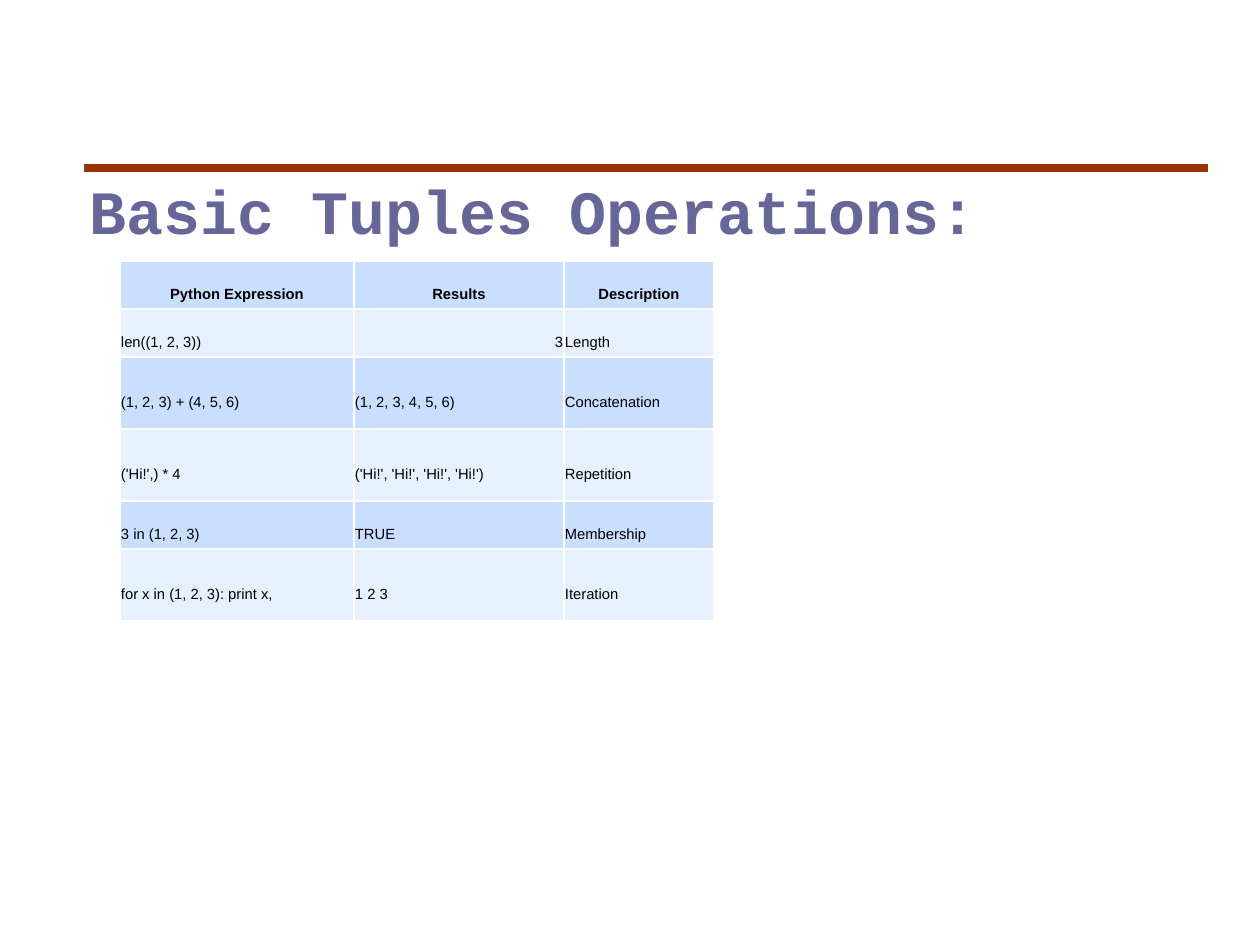
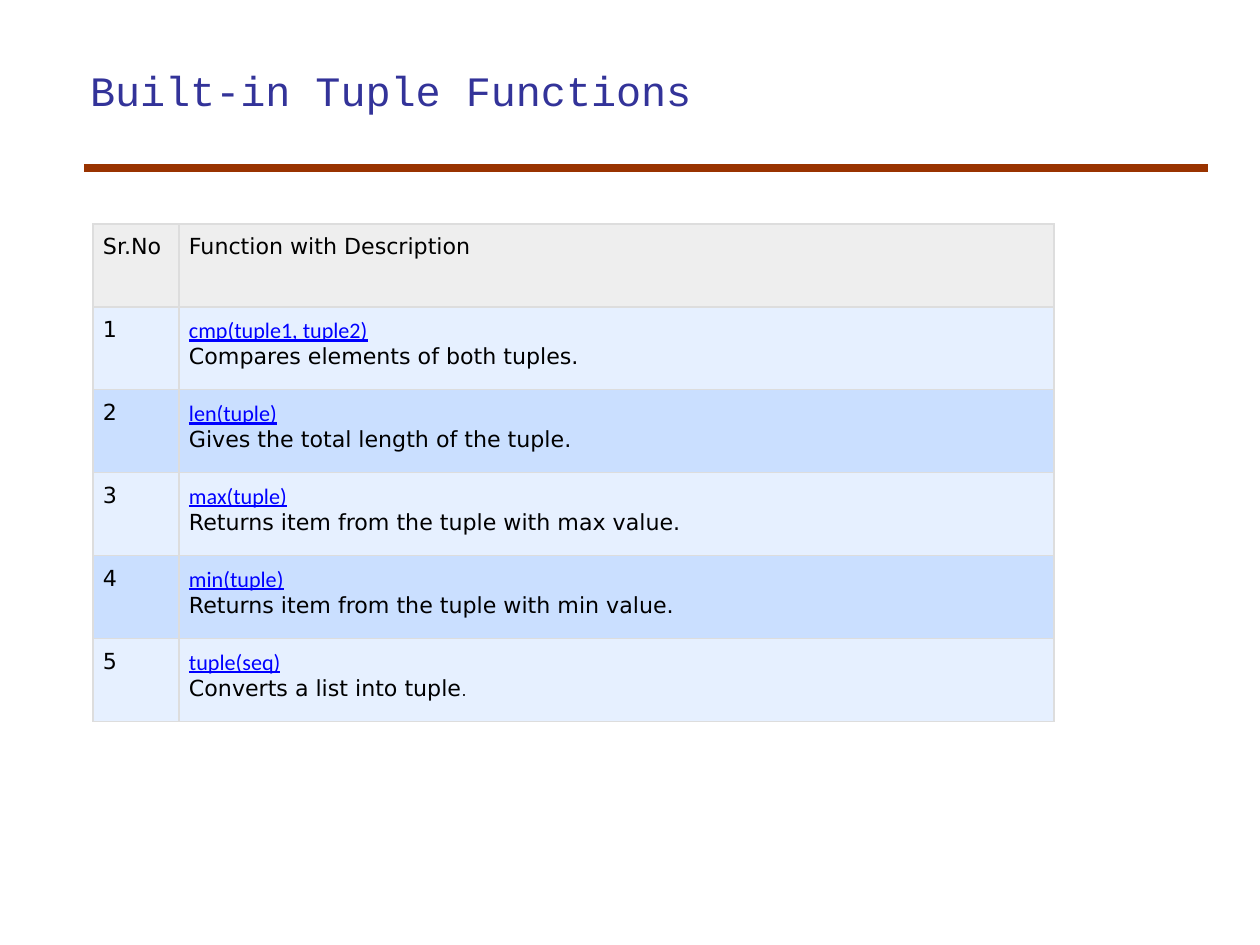
"""Two slides on Python tuples: basic operations and built-in functions."""
from lxml.etree import SubElement
from pptx import Presentation
from pptx.dml.color import RGBColor
from pptx.enum.shapes import MSO_CONNECTOR
from pptx.enum.text import MSO_ANCHOR, PP_ALIGN
from pptx.oxml.ns import qn
from pptx.util import Pt

PX = 10320
BLACK = RGBColor(0x00, 0x00, 0x00)
BLUE = RGBColor(0x00, 0x00, 0xFF)
WHITE = RGBColor(0xFF, 0xFF, 0xFF)
RUST = RGBColor(0x99, 0x33, 0x00)
SLATE = RGBColor(0x66, 0x66, 0x99)
INDIGO = RGBColor(0x33, 0x33, 0x99)
HEAD_GREY = RGBColor(0xEE, 0xEE, 0xEE)
RULE_GREY = RGBColor(0xDD, 0xDD, 0xDD)
BANDS = [RGBColor(0xCA, 0xDF, 0xFF), RGBColor(0xE6, 0xF0, 0xFF)]

OPERATIONS = [
    ("Python Expression", "Results", "Description"),
    ("len((1, 2, 3))", "3", "Length"),
    ("(1, 2, 3) + (4, 5, 6)", "(1, 2, 3, 4, 5, 6)", "Concatenation"),
    ("('Hi!',) * 4", "('Hi!', 'Hi!', 'Hi!', 'Hi!')", "Repetition"),
    ("3 in (1, 2, 3)", "TRUE", "Membership"),
    ("for x in (1, 2, 3): print x,", "1 2 3", "Iteration"),
]
FUNCTIONS = [
    ("Sr.No", "Function with Description"),
    ("1", "cmp(tuple1, tuple2)\nCompares elements of both tuples."),
    ("2", "len(tuple)\nGives the total length of the tuple."),
    ("3", "max(tuple)\nReturns item from the tuple with max value."),
    ("4", "min(tuple)\nReturns item from the tuple with min value."),
    ("5", "tuple(seq)\nConverts a list into tuple"),
]
SHORT, TALL = 48, 72

prs = Presentation()
prs.slide_width, prs.slide_height = 1260 * PX, 945 * PX


def add_titled_slide(title, box, size, color, bold, anchor, top_inset):
    s = prs.slides.add_slide(prs.slide_layouts[6])
    rule = s.shapes.add_connector(
        MSO_CONNECTOR.STRAIGHT, 84 * PX, 168 * PX, 1208 * PX, 168 * PX)
    rule.line.color.rgb = RUST
    rule.line.width = Pt(6)
    SubElement(rule._element.spPr, qn("a:effectLst"))
    tf = s.shapes.add_textbox(*(n * PX for n in box)).text_frame
    tf.word_wrap = True
    tf.vertical_anchor = anchor
    tf.margin_left = tf.margin_right = tf.margin_bottom = 6 * PX
    tf.margin_top = top_inset * PX
    p = tf.paragraphs[0]
    p.text = title
    p.font.name, p.font.size, p.font.bold = "Courier New", Pt(size), bold
    p.font.color.rgb = color
    return s


def add_grid(s, left, top, widths, heights, rows, inset, border, head_fill, font, size):
    table = s.shapes.add_table(len(rows), len(widths), left * PX, top * PX,
                               sum(widths) * PX, sum(heights) * PX).table
    table.first_row = table.horz_banding = False
    for column, width in zip(table.columns, widths):
        column.width = width * PX
    for i, (row, height) in enumerate(zip(rows, heights)):
        table.rows[i].height = height * PX
        for j, text in enumerate(row):
            cell = table.cell(i, j)
            cell.margin_left = cell.margin_right = inset * PX
            cell.margin_top = cell.margin_bottom = inset * PX
            for side in ("a:lnL", "a:lnR", "a:lnT", "a:lnB"):
                ln = SubElement(cell._tc.get_or_add_tcPr(), qn(side), w=str(Pt(1)))
                fill = SubElement(ln, qn("a:solidFill"))
                SubElement(fill, qn("a:srgbClr"), val=str(border))
            cell.fill.solid()
            cell.fill.fore_color.rgb = BANDS[i % 2] if i else head_fill
            cell.text = text
            for p in cell.text_frame.paragraphs:
                p.font.name, p.font.size = font, Pt(size)
                p.font.color.rgb = BLACK
    return table


s = add_titled_slide("Basic Tuples Operations:", (84, 153, 1050, 113), 50, SLATE, True,
                     MSO_ANCHOR.MIDDLE, 6)
table = add_grid(s, 120, 261, [234, 210, 150], [SHORT, SHORT, TALL, TALL, SHORT, TALL],
                 OPERATIONS, 1, WHITE, BANDS[0], "Arial", 12)
for cell in table.iter_cells():
    cell.vertical_anchor = MSO_ANCHOR.MIDDLE
    cell.text_frame.paragraphs[0].line_spacing = Pt(28)
for cell in table.rows[0].cells:
    p = cell.text_frame.paragraphs[0]
    p.alignment, p.line_spacing = PP_ALIGN.CENTER, Pt(29)
    p.font.bold = True
table.cell(1, 1).text_frame.paragraphs[0].alignment = PP_ALIGN.RIGHT

s = add_titled_slide("Built-in Tuple Functions", (84, 52, 1124, 115), 34, INDIGO, False,
                     MSO_ANCHOR.TOP, 13)
table = add_grid(s, 93, 224, [86, 875], [83] * len(FUNCTIONS), FUNCTIONS, 10,
                 RULE_GREY, HEAD_GREY, "DejaVu Sans", 18)
for i in range(1, len(FUNCTIONS)):
    p = table.cell(i, 1).text_frame.paragraphs[0]
    p.font.name, p.font.underline = "Calibri", True
    p.font.color.rgb = BLUE
r = table.cell(5, 1).text_frame.paragraphs[1].add_run()
r.text = "."
r.font.name, r.font.size = "Arial", Pt(16)
r.font.color.rgb = BLACK
SubElement(r.font._element.find(qn("a:solidFill"))[0], qn("a:alpha"), val="87000")

prs.save("out.pptx")
